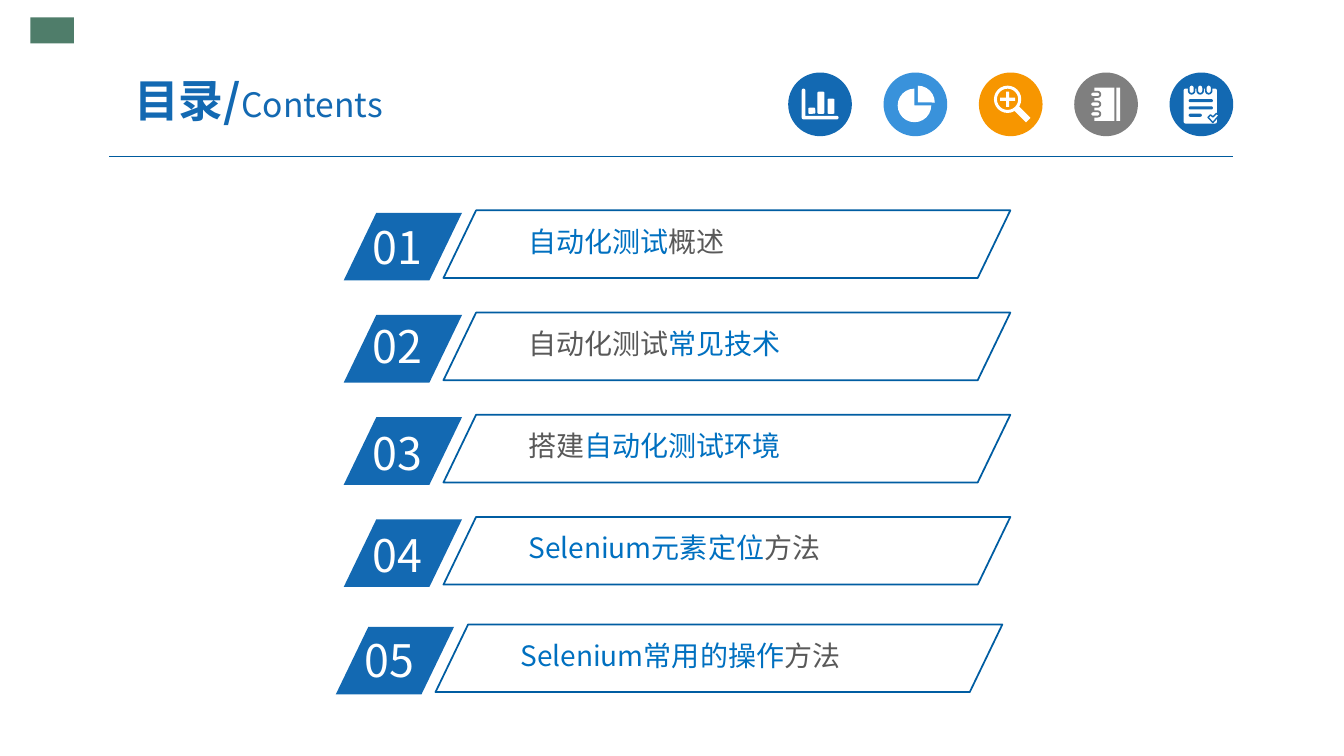
from lxml.etree import SubElement
from pptx import Presentation
from pptx.dml.color import RGBColor
from pptx.enum.shapes import MSO_CONNECTOR as Connector, MSO_SHAPE as Preset
from pptx.enum.text import MSO_ANCHOR as Anchor, MSO_AUTO_SIZE as AutoSize, PP_ALIGN as Align
from pptx.oxml.ns import qn
from pptx.util import Pt

FONT = "Noto Sans CJK SC"
BLUE = RGBColor(0x13, 0x69, 0xB2)
LIGHT_BLUE = RGBColor(0x39, 0x92, 0xDB)
ORANGE = RGBColor(0xF7, 0x96, 0x00)
GRAY = RGBColor(0x7F, 0x7F, 0x7F)
GREEN = RGBColor(0x4F, 0x7D, 0x6A)
WHITE = RGBColor(0xFF, 0xFF, 0xFF)
RULE = RGBColor(0x00, 0x5B, 0x9E)
OUTLINE = RGBColor(0x00, 0x5D, 0xA2)
ACCENT = RGBColor(0x00, 0x70, 0xC0)
TEXT = RGBColor(0x59, 0x59, 0x59)

ICON_LEFT, ICON_TOP, ICON_STEP, ICON_SIZE = 563, 51.8, 68.1, 45.5
SLANT = 0.482
CHAPTERS = [
    (245.5, 152, 1.4, [("自动化测试", ACCENT), ("概述", TEXT)]),
    (245.5, 225, -0.7, [("自动化测试", TEXT), ("常见技术", ACCENT)]),
    (245.5, 298, 2.2, [("搭建", TEXT), ("自动化测试环境", ACCENT)]),
    (245.5, 371, 2.2, [("Selenium元素定位", ACCENT), ("方法", TEXT)]),
    (239.8, 447.8, 0.7, [("Selenium常用的操作", ACCENT), ("方法", TEXT)]),
]


def style_shape(shape, fill=None, line=None, width=1.25):
    """Set fill and outline, without a shadow."""
    shape.shadow.inherit = False
    if fill is None:
        shape.fill.background()
    else:
        shape.fill.solid()
        shape.fill.fore_color.rgb = fill
    if line is None:
        shape.line.fill.background()
    else:
        shape.line.color.rgb = line
        shape.line.width = Pt(width)


def add_preset(slide, preset, box, fill=None, line=None, width=1.25, adjust=()):
    """Add a preset shape in a box given in points."""
    shape = slide.shapes.add_shape(preset, *map(Pt, box))
    for index, value in enumerate(adjust):
        shape.adjustments[index] = value
    style_shape(shape, fill, line, width)


def add_line(slide, start, end, color, width):
    """Add a straight line between two points."""
    line = slide.shapes.add_connector(Connector.STRAIGHT, *map(Pt, (*start, *end)))
    line.line.color.rgb = color
    line.line.width = Pt(width)
    SubElement(line._element.spPr, qn("a:effectLst"))


def set_font(paragraph, size):
    """Set size and typeface for Latin and East Asian text."""
    paragraph.font.size = Pt(size)
    paragraph.font.name = FONT
    defaults = paragraph._p.pPr.find(qn("a:defRPr"))
    SubElement(defaults, qn("a:ea"), typeface=FONT)


def set_margins(frame, side, end):
    """Set the text margins in points."""
    frame.margin_left = frame.margin_right = Pt(side)
    frame.margin_top = frame.margin_bottom = Pt(end)


def add_label(slide, box, runs, size, margins):
    """Add a one-line text box of coloured runs."""
    frame = slide.shapes.add_textbox(*map(Pt, box)).text_frame
    frame.word_wrap = True
    set_margins(frame, *margins)
    paragraph = frame.paragraphs[0]
    set_font(paragraph, size)
    for text, color in runs:
        run = paragraph.add_run()
        run.text = text
        run.font.color.rgb = color


def add_title(slide):
    """Fill the title placeholder."""
    title = slide.shapes.title
    title.left, title.top, title.width, title.height = map(Pt, (66.2, 45.4, 236.9, 51.8))
    frame = title.text_frame
    frame.auto_size = AutoSize.NONE
    frame.vertical_anchor = Anchor.MIDDLE
    set_margins(frame, 9.4, 5)
    paragraph = frame.paragraphs[0]
    paragraph.alignment = Align.CENTER
    set_font(paragraph, 32)
    paragraph.font.color.rgb = BLUE
    for text, size, bold in (("目录/", 32, True), ("Contents", 24, False)):
        run = paragraph.add_run()
        run.text = text
        run.font.size = Pt(size)
        run.font.bold = bold


def draw_bars(slide, x, y, color):
    """Draw a bar chart icon."""
    for box in ((9.7, 11.5, 2.6, 21.7), (9.7, 31, 26.3, 2.5)):
        add_preset(slide, Preset.ROUNDED_RECTANGLE, (x + box[0], y + box[1], *box[2:]), WHITE, adjust=[0.5])
    for left, top in ((14.4, 25.2), (20.9, 13.7), (28.1, 18.7)):
        add_preset(slide, Preset.ROUNDED_RECTANGLE, (x + left, y + top, 5, 29.5 - top), WHITE)


def draw_pie(slide, x, y, color):
    """Draw a pie chart icon with one slice pulled out."""
    add_preset(slide, Preset.PIE, (x + 10.1, y + 11.5, 24, 24), WHITE, adjust=[0, 162])
    add_preset(slide, Preset.PIE, (x + 12.6, y + 9.4, 24, 24), WHITE, adjust=[162, 0])


def draw_magnifier(slide, x, y, color):
    """Draw a magnifier icon with a plus sign."""
    add_preset(slide, Preset.DONUT, (x + 10.8, y + 9.4, 19.5, 19.5), WHITE, adjust=[0.11])
    add_preset(slide, Preset.CROSS, (x + 15.1, y + 13.7, 10.8, 10.8), WHITE, adjust=[0.4])
    add_line(slide, (x + 26.5, y + 25.2), (x + 35.3, y + 34), WHITE, 4.5)


def draw_notebook(slide, x, y, color):
    """Draw a ring-bound notebook icon."""
    for left, width in ((14.4, 14.4), (30.2, 2.6)):
        add_preset(slide, Preset.RECTANGLE, (x + left, y + 10.8, width, 23.8), WHITE)
    for ring in range(3):
        add_preset(slide, Preset.ROUNDED_RECTANGLE, (x + 11.5, y + 13.7 + 7 * ring, 7.2, 3.8),
                   WHITE, color, 1.3, [0.5])


def draw_notepad(slide, x, y, color):
    """Draw a notepad icon with a check mark."""
    add_preset(slide, Preset.ROUNDED_RECTANGLE, (x + 10.1, y + 11.5, 23.8, 25), WHITE, adjust=[0.06])
    for row, width in enumerate((17.3, 17.3, 9.4)):
        add_preset(slide, Preset.ROUNDED_RECTANGLE, (x + 13.7, y + 19 + 5.2 * row, width, 2.2),
                   color, adjust=[0.5])
    for ring in range(3):
        add_preset(slide, Preset.ROUNDED_RECTANGLE, (x + 13.7 + 6.1 * ring, y + 8.7, 4.2, 6.5),
                   WHITE, color, 1.2, [0.5])
    check = [(27.5, 32), (29.3, 30.2), (31, 31.7), (33.5, 29.2), (35.5, 30.5), (31, 35.7)]
    points = [(Pt(x + dx), Pt(y + dy)) for dx, dy in check]
    builder = slide.shapes.build_freeform(*points[0])
    builder.add_line_segments(points[1:], close=True)
    style_shape(builder.convert_to_shape(), WHITE, color, 1)


def add_icons(slide):
    """Add the row of round icons."""
    icons = [(draw_bars, BLUE), (draw_pie, LIGHT_BLUE), (draw_magnifier, ORANGE),
             (draw_notebook, GRAY), (draw_notepad, BLUE)]
    for index, (draw, color) in enumerate(icons):
        left = ICON_LEFT + ICON_STEP * index
        add_preset(slide, Preset.OVAL, (left, ICON_TOP, ICON_SIZE, ICON_SIZE), color)
        draw(slide, left, ICON_TOP, color)


def add_chapter(slide, number, left, top, number_shift, runs):
    """Add one numbered row of the contents."""
    add_preset(slide, Preset.PARALLELOGRAM, (left, top, 84.5, 48.3), BLUE, adjust=[SLANT])
    add_label(slide, (left + 13.7, top + number_shift, 80.6, 46), [(f"{number:02}", WHITE)], 32, (7.2, 3.6))
    add_preset(slide, Preset.PARALLELOGRAM, (left + 71.3, top - 1.7, 404.9, 48.3),
               line=OUTLINE, adjust=[SLANT])
    add_label(slide, (left + 126.7, top + 5.6, 296.6, 29.5), runs, 20, (5.2, 2.6))


def main():
    """Build the contents slide."""
    presentation = Presentation()
    presentation.slide_width, presentation.slide_height = Pt(960), Pt(540)
    slide = presentation.slides.add_slide(presentation.slide_layouts[5])
    add_preset(slide, Preset.RECTANGLE, (21.8, 12.4, 31, 18.7), GREEN)
    add_line(slide, (78, 111.7), (880.6, 111.7), RULE, 0.75)
    add_icons(slide)
    add_title(slide)
    for number, chapter in enumerate(CHAPTERS, 1):
        add_chapter(slide, number, *chapter)
    presentation.save("out.pptx")


if __name__ == "__main__":
    main()
